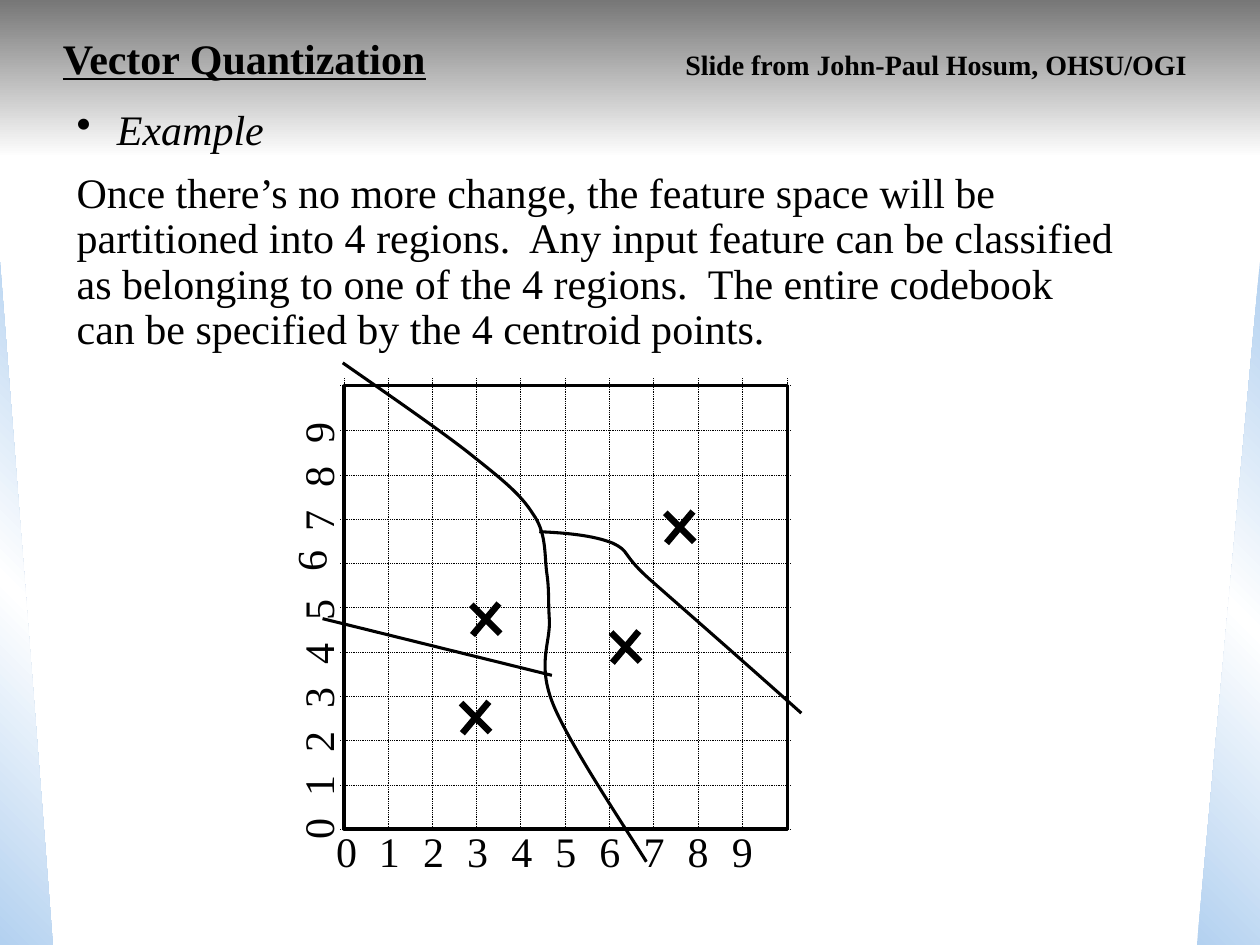
from copy import deepcopy
from dataclasses import dataclass, field

from lxml.etree import SubElement
from pptx import Presentation
from pptx.dml.color import RGBColor
from pptx.enum.dml import MSO_LINE
from pptx.enum.shapes import MSO_CONNECTOR, MSO_SHAPE
from pptx.enum.text import MSO_AUTO_SIZE
from pptx.oxml.ns import qn
from pptx.util import Pt

PX = 9144
BLACK = RGBColor(0x00, 0x00, 0x00)
WHITE = RGBColor(0xFF, 0xFF, 0xFF)
GRAY = RGBColor(0x77, 0x77, 0x77)
PALE_BLUE = RGBColor(0xB3, 0xD1, 0xF0)

GRID_LEFT, GRID_TOP, GRID_SIZE = 273, 306, 352
GRID_BOTTOM = GRID_TOP + GRID_SIZE
CELLS = 10
DIGIT_SPAN = 349
BULLET_INDENT = 32


@dataclass(frozen=True)
class Rect:
    left: int
    top: int
    width: int
    height: int

    def emu(self) -> list[int]:
        return [value * PX for value in (self.left, self.top, self.width, self.height)]


@dataclass(frozen=True)
class Backdrop:
    kind: MSO_SHAPE
    rect: Rect
    colors: tuple
    angle: int
    flipped: bool = False


@dataclass(frozen=True)
class Label:
    lines: tuple
    rect: Rect
    font: dict = field(default_factory=dict)
    rotation: int = 0


BACKDROPS = (
    Backdrop(MSO_SHAPE.RECTANGLE, Rect(0, 0, 1000, 125), (GRAY, WHITE), 90),
    Backdrop(MSO_SHAPE.RIGHT_TRIANGLE, Rect(0, 208, 42, 542),
             (PALE_BLUE, WHITE, PALE_BLUE), 135),
    Backdrop(MSO_SHAPE.RIGHT_TRIANGLE, Rect(950, 208, 50, 542),
             (PALE_BLUE, WHITE, PALE_BLUE), 225, True),
)
TITLE = Label(("Vector Quantization",), Rect(40, 21, 311, 50),
              {"bold": True, "underline": True})
CREDIT = Label(("Slide from John-Paul Hosum, OHSU/OGI",), Rect(534, 33, 418, 37),
               {"bold": True, "size": Pt(16)})
BODY = Label((
    "Example",
    "Once there’s no more change, the feature space will be\v"
    "partitioned into 4 regions.  Any input feature can be classified",
    "as belonging to one of the 4 regions.  The entire codebook",
    "can be specified by the 4 centroid points.",
), Rect(51, 82, 845, 206))

CENTROIDS = ((366, 557), (374, 479), (485, 501), (528, 406))
CROSS_STROKES = ((0, 1, 23, 24), (1, 25, 22, 0))
MAIN_BOUNDARY = (
    (272, 288), (289, 300), (349, 341), (374, 361), (399, 381), (413, 392),
    (423, 408), (434, 423), (432, 441), (434, 455), (436, 469), (435, 475),
    (436, 492), (437, 510), (426, 527), (439, 559), (452, 591), (497, 658),
    (513, 684),
)
RIGHT_BOUNDARY = (
    (428, 422), (450, 423), (471, 425), (486, 431), (501, 438), (492, 439),
    (517, 461), (542, 483), (589, 524), (636, 566),
)


def add_backdrop(shapes, item: Backdrop) -> None:
    shape = shapes.add_shape(item.kind, *item.rect.emu())
    shape.shadow.inherit = False
    shape.line.fill.background()
    shape.fill.gradient()
    shape.fill.gradient_angle = 360 - item.angle
    stop_list = shape.element.spPr.find(".//" + qn("a:gsLst"))
    for _ in item.colors[2:]:
        stop_list.append(deepcopy(stop_list[0]))
    last = len(item.colors) - 1
    for index, (stop, color) in enumerate(zip(shape.fill.gradient_stops, item.colors)):
        stop.color.rgb = color
        stop.position = index / last
    if item.flipped:
        shape.element.spPr.get_or_add_xfrm().set("flipH", "1")


def add_label(shapes, label: Label):
    box = shapes.add_textbox(*label.rect.emu())
    box.rotation = label.rotation
    frame = box.text_frame
    frame.word_wrap = False
    frame.auto_size = MSO_AUTO_SIZE.SHAPE_TO_FIT_TEXT
    formats = {"name": "Times New Roman", "size": Pt(24), **label.font}
    for index, line in enumerate(label.lines):
        para = frame.add_paragraph() if index else frame.paragraphs[0]
        para.text = line
        for span in para.runs:
            span.font.color.rgb = BLACK
            for name, value in formats.items():
                setattr(span.font, name, value)
    return box


def add_body(shapes) -> None:
    paras = add_label(shapes, BODY).text_frame.paragraphs
    for para in paras:
        para.line_spacing = 0.9
    heading = paras[0]
    heading.space_after = Pt(10)
    heading.runs[0].font.italic = True
    properties = heading._p.get_or_add_pPr()
    properties.set("marL", str(BULLET_INDENT * PX))
    properties.set("indent", str(-BULLET_INDENT * PX))
    SubElement(properties, qn("a:buChar")).set("char", "•")


def style_line(shape, width: float) -> None:
    shape.line.color.rgb = BLACK
    shape.line.width = Pt(width)


def add_line(shapes, ends: tuple, width: float, dotted: bool = False) -> None:
    line = shapes.add_connector(MSO_CONNECTOR.STRAIGHT, *(value * PX for value in ends))
    style_line(line, width)
    if dotted:
        line.line.dash_style = MSO_LINE.ROUND_DOT
    SubElement(line.element.spPr, qn("a:effectLst"))


def add_curve(shapes, points: tuple) -> None:
    builder = shapes.build_freeform(*points[0], scale=PX)
    builder.add_line_segments(points[1:], close=False)
    curve = builder.convert_to_shape()
    curve.shadow.inherit = False
    curve.fill.background()
    style_line(curve, 1.75)
    outline = curve.element.spPr.find(".//" + qn("a:path"))
    segments = outline.findall(qn("a:lnTo"))
    for start in range(0, len(segments), 3):
        bezier = SubElement(outline, qn("a:cubicBezTo"))
        for segment in segments[start:start + 3]:
            bezier.append(segment[0])
            outline.remove(segment)


def add_grid(shapes) -> None:
    frame = shapes.add_shape(
        MSO_SHAPE.RECTANGLE, *Rect(GRID_LEFT, GRID_TOP, GRID_SIZE, GRID_SIZE).emu())
    frame.shadow.inherit = False
    frame.fill.background()
    style_line(frame, 1.75)
    columns = shapes.add_group_shape().shapes
    rows = shapes.add_group_shape().shapes
    for index in range(CELLS + 1):
        offset = GRID_SIZE * index // CELLS
        x, y = GRID_LEFT + offset, GRID_BOTTOM - offset
        add_line(columns, (x, GRID_TOP - 6, x, GRID_BOTTOM), 0.5, True)
        add_line(rows, (GRID_LEFT - 3, y, GRID_LEFT + GRID_SIZE + 3, y), 0.5, True)


def add_axis_digits(shapes) -> None:
    across = shapes.add_group_shape().shapes
    upward = shapes.add_group_shape().shapes
    for digit in range(CELLS):
        offset = DIGIT_SPAN * digit // CELLS
        left, top = (228, 420) if digit == 6 else (234, 633 - offset)
        add_label(across, Label((str(digit),), Rect(257 + offset, 650, 36, 50)))
        add_label(upward, Label((str(digit),), Rect(left, top, 36, 50), rotation=270))


def main() -> None:
    deck = Presentation()
    deck.slide_width, deck.slide_height = 1000 * PX, 750 * PX
    page = deck.slides.add_slide(deck.slide_layouts[6])
    shapes = page.shapes
    for item in BACKDROPS:
        add_backdrop(shapes, item)
    add_label(shapes, TITLE)
    add_body(shapes)
    add_grid(shapes)
    for x, y in CENTROIDS:
        cross = shapes.add_group_shape().shapes
        for x1, y1, x2, y2 in CROSS_STROKES:
            add_line(cross, (x + x1, y + y1, x + x2, y + y2), 3.75)
    for points in (MAIN_BOUNDARY, RIGHT_BOUNDARY):
        add_curve(shapes, points)
    add_line(shapes, (256, 491, 438, 536), 1.75)
    add_axis_digits(shapes)
    add_label(shapes, CREDIT)
    deck.save("out.pptx")


if __name__ == "__main__":
    main()
